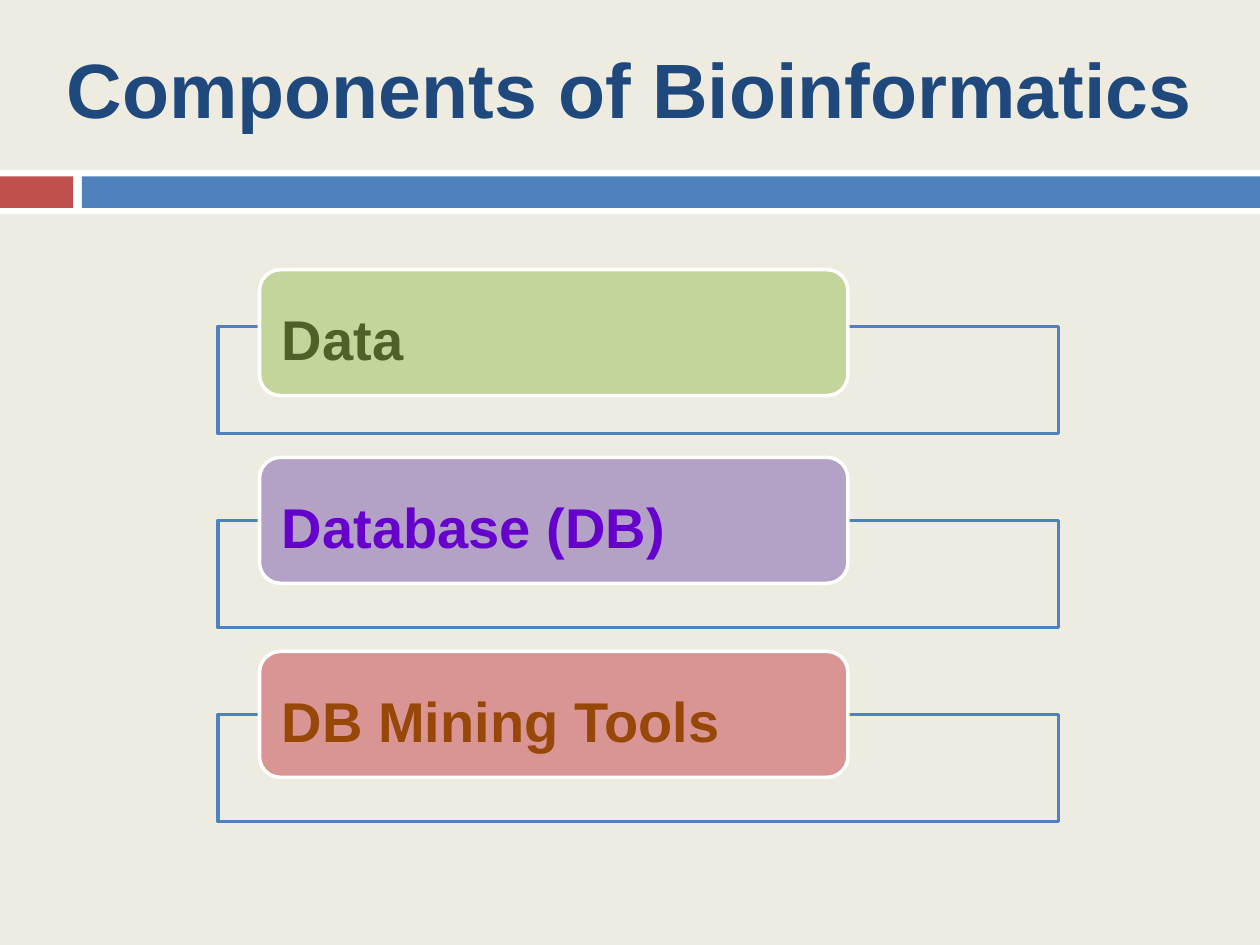
from dataclasses import dataclass

from pptx import Presentation
from pptx.dml.color import RGBColor
from pptx.enum.shapes import MSO_SHAPE
from pptx.enum.text import MSO_ANCHOR, PP_ALIGN
from pptx.util import Inches, Pt

RECTANGLE = MSO_SHAPE.RECTANGLE
ROUNDED = MSO_SHAPE.ROUNDED_RECTANGLE
TOP, MIDDLE = MSO_ANCHOR.TOP, MSO_ANCHOR.MIDDLE
LEFT, CENTER = PP_ALIGN.LEFT, PP_ALIGN.CENTER
TITLE_ONLY = 5
WHITE, BLUE, RED = "FFFFFF", "4F81BD", "C0504D"


@dataclass
class Component:
    name: str
    label_top: float
    frame_top: float
    fill: str
    text_color: str


COMPONENTS = [
    Component("Data", 2.14, 2.59, "C3D59B", "4F6128"),
    Component("Database (DB)", 3.63, 4.13, "B3A1C6", "6600CC"),
    Component("DB Mining Tools", 5.17, 5.67, "D99593", "974707"),
]


def color(hex_value: str) -> RGBColor:
    return RGBColor.from_string(hex_value)


def add_box(slide, kind, left: float, top: float, width: float, height: float,
            fill: str | None = None, line: str | None = None):
    shape = slide.shapes.add_shape(
        kind, Inches(left), Inches(top), Inches(width), Inches(height))
    shape.shadow.inherit = False
    if fill:
        shape.fill.solid()
        shape.fill.fore_color.rgb = color(fill)
    else:
        shape.fill.background()
    if line:
        shape.line.color.rgb = color(line)
        shape.line.width = Pt(2)
    else:
        shape.line.fill.background()
    return shape


def set_text(shape, text: str, size: int, text_color: str, align, anchor) -> None:
    text_frame = shape.text_frame
    text_frame.text = text
    text_frame.word_wrap = True
    text_frame.vertical_anchor = anchor
    paragraph = text_frame.paragraphs[0]
    paragraph.alignment = align
    font = paragraph.runs[0].font
    font.name, font.size, font.bold = "Arial", Pt(size), True
    font.color.rgb = color(text_color)


def add_component(slide, component: Component) -> None:
    add_box(slide, RECTANGLE, 1.73, component.frame_top, 6.67, 0.85, line="4F81BC")
    label = add_box(slide, ROUNDED, 2.06, component.label_top, 4.67, 1,
                    fill=component.fill, line=WHITE)
    set_text(label, component.name, 32, component.text_color, LEFT, TOP)
    text_frame = label.text_frame
    # The preset already insets its text by about 0.05 inches at the corners
    text_frame.margin_left = Inches(0.13)
    text_frame.margin_top = Inches(0.23)
    text_frame.margin_right = text_frame.margin_bottom = 0


def main() -> None:
    presentation = Presentation()
    presentation.slide_width, presentation.slide_height = Inches(10), Inches(7.5)
    slide = presentation.slides.add_slide(presentation.slide_layouts[TITLE_ONLY])
    slide.background.fill.solid()
    slide.background.fill.fore_color.rgb = color("EEECE1")

    # Title
    title = slide.shapes.title
    title.left, title.top = Inches(0), Inches(0.28)
    title.width, title.height = Inches(10), Inches(0.83)
    set_text(title, "Components of Bioinformatics", 44, "1F497D", CENTER, MIDDLE)

    # Divider band
    add_box(slide, RECTANGLE, 0, 1.35, 10, 0.35, fill=WHITE)
    add_box(slide, RECTANGLE, 0, 1.4, 0.58, 0.25, fill=RED)
    add_box(slide, RECTANGLE, 0.65, 1.4, 9.35, 0.25, fill=BLUE)

    # Framed components
    for component in COMPONENTS:
        add_component(slide, component)

    presentation.save("out.pptx")


if __name__ == "__main__":
    main()
